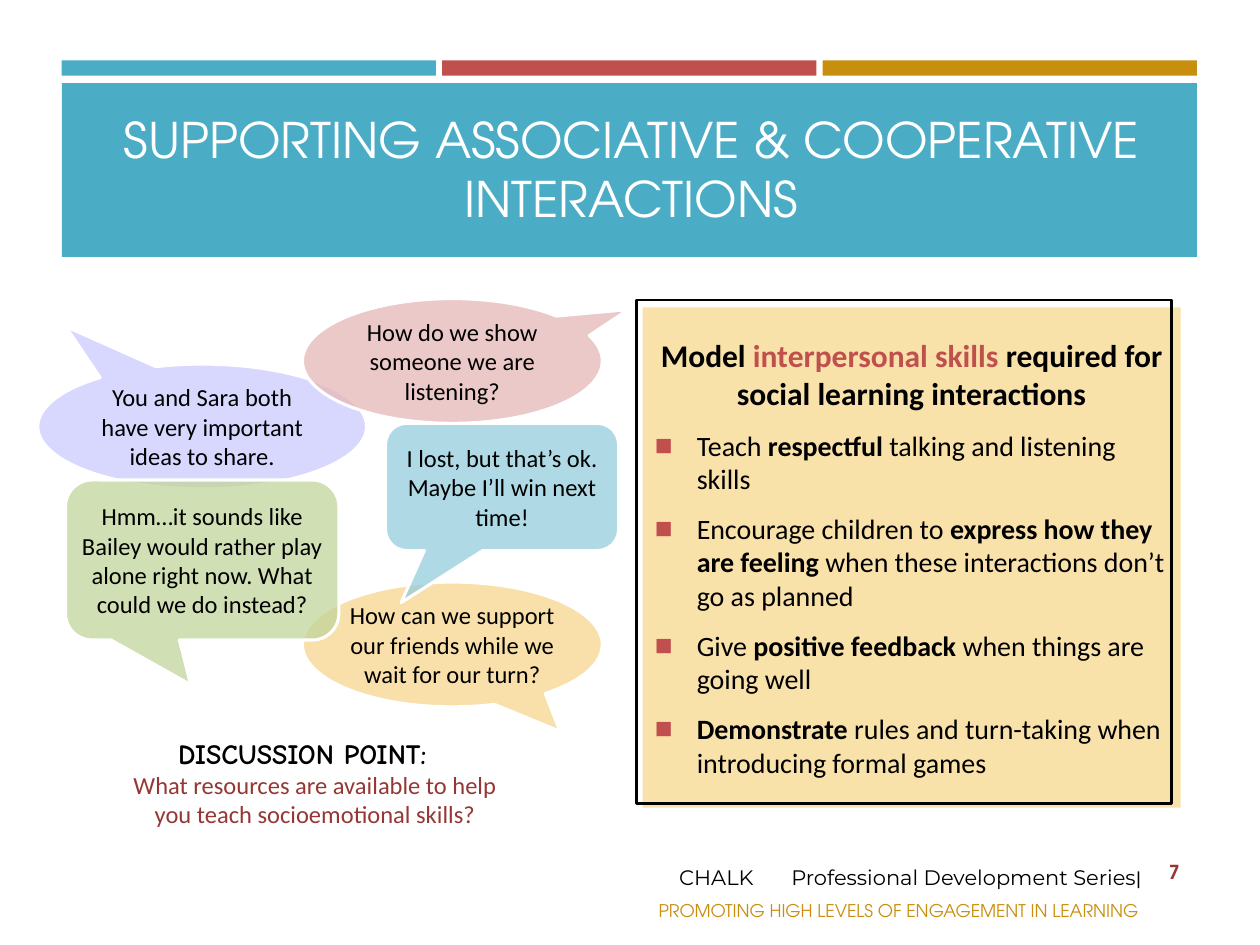
from pptx import Presentation
from pptx.dml.color import RGBColor
from pptx.enum.shapes import MSO_SHAPE
from pptx.enum.text import MSO_ANCHOR, MSO_AUTO_SIZE, PP_ALIGN
from pptx.oxml.ns import qn
from pptx.util import Inches, Pt
from lxml import etree

RECT = MSO_SHAPE.RECTANGLE
OVAL_CALLOUT = MSO_SHAPE.OVAL_CALLOUT
ROUND_CALLOUT = MSO_SHAPE.ROUNDED_RECTANGULAR_CALLOUT
LEFT, CENTER = PP_ALIGN.LEFT, PP_ALIGN.CENTER
TOP, MIDDLE = MSO_ANCHOR.TOP, MSO_ANCHOR.MIDDLE

TEAL, RED, GOLD = "4BACC6", "C0504D", "C88E0E"
DARK_RED, CREAM, WHITE, BLACK = "953734", "F9E1AA", "FFFFFF", "000000"
BODY_FONT, DISPLAY_FONT = "Calibri", "TeX Gyre Adventor"
BRAND_FONT, LABEL_FONT = "Montserrat", "Comic Neue"


def rgb(value):
    return RGBColor.from_string(value)


def add_child(parent, tag, **attributes):
    return etree.SubElement(parent, qn(tag), attributes)


class SlideBuilder:
    """Holds the current slide and the style shared by its elements."""

    def __init__(self, slide):
        self.slide = slide
        self.shapes = slide.shapes

    def place(self, shape, at):
        shape.left, shape.top, shape.width, shape.height = map(Inches, at)

    def frame(self, shape, anchor, insets=(0.1, 0.05, 0.1, 0.05)):
        frame = shape.text_frame
        frame.word_wrap = True
        frame.auto_size = MSO_AUTO_SIZE.NONE
        frame.vertical_anchor = anchor
        (frame.margin_left, frame.margin_top,
         frame.margin_right, frame.margin_bottom) = map(Inches, insets)
        return frame

    def style(self, para, size, font=BODY_FONT, color=BLACK, bold=False, align=CENTER):
        para.alignment = align
        para.font.size = Pt(size)
        para.font.name = font
        para.font.bold = bold
        para.font.color.rgb = rgb(color)

    def spans(self, para, text, bold=None, color=None):
        """Add runs, giving those between asterisks the bold or colour."""
        for index, part in enumerate(text.split("*")):
            if not part:
                continue
            span = para.add_run()
            span.text = part
            if index % 2:
                span.font.bold = bold
                if color:
                    span.font.color.rgb = rgb(color)

    def shape(self, kind, at, fill=None, line=None, line_width=1.0):
        shape = self.shapes.add_shape(kind, *map(Inches, at))
        shape.shadow.inherit = False
        if fill:
            shape.fill.solid()
            shape.fill.fore_color.rgb = rgb(fill)
        else:
            shape.fill.background()
        if line:
            shape.line.color.rgb = rgb(line)
            shape.line.width = Pt(line_width)
        else:
            shape.line.fill.background()
        return shape

    def backdrop(self, at, fill):
        """Add a filled bar behind the placeholders."""
        bar = self.shape(RECT, at, fill)
        self.shapes._spTree.insert(2, bar._element)

    def callout(self, kind, at, tail, fill, text):
        bubble = self.shape(kind, at, fill, WHITE, 1.75)
        bubble.adjustments[0], bubble.adjustments[1] = tail
        color = bubble._element.spPr.find(qn("a:solidFill"))[0]
        add_child(color, "a:alpha", val="75000")
        pad = 0.1 if kind == ROUND_CALLOUT else 0
        para = self.frame(bubble, MIDDLE, (0, pad, 0, pad)).paragraphs[0]
        para.text = text
        self.style(para, 14)

    def text(self, at, text, size, anchor=TOP, **style):
        box = self.shapes.add_textbox(*map(Inches, at))
        para = self.frame(box, anchor).paragraphs[0]
        para.text = text
        self.style(para, size, **style)

    def brand_line(self, at, name, series, start, tab):
        box = self.shapes.add_textbox(*map(Inches, at))
        para = self.frame(box, MIDDLE, (start, 0.05, 0.1, 0.05)).paragraphs[0]
        tabs = add_child(para._p.get_or_add_pPr(), "a:tabLst")
        add_child(tabs, "a:tab", pos=str(Inches(tab)), algn="l")
        self.style(para, 12, BRAND_FONT, align=LEFT)
        self.spans(para, f"{name}\t{series}")
        bar = para.add_run()
        bar.text = "|"
        bar.font.name = DISPLAY_FONT

    def title(self, at, text):
        title = self.shapes.title
        self.place(title, at)
        para = self.frame(title, MIDDLE).paragraphs[0]
        para.text = text
        self.style(para, 28, DISPLAY_FONT, WHITE)

    def panel(self, at, heading, points):
        body = self.slide.placeholders[1]
        self.place(body, at)
        body.fill.solid()
        body.fill.fore_color.rgb = rgb(CREAM)
        frame = self.frame(body, MIDDLE)
        para = frame.paragraphs[0]
        para.space_before = Pt(0)
        properties = para._p.get_or_add_pPr()
        properties.set("marL", "0")
        properties.set("indent", "0")
        add_child(properties, "a:buNone")
        self.style(para, 18, bold=True)
        self.spans(para, heading, bold=True, color=RED)
        for point in points:
            self.bullet(frame.add_paragraph(), point)

    def bullet(self, para, text):
        para.space_before = Pt(9.2)
        properties = para._p.get_or_add_pPr()
        properties.set("marL", str(Inches(0.33)))
        properties.set("indent", str(Inches(-0.33)))
        color = add_child(properties, "a:buClr")
        add_child(color, "a:srgbClr", val=RED)
        add_child(properties, "a:buChar", char="◼")
        self.style(para, 16, align=LEFT)
        self.spans(para, text, bold=True)


CALLOUTS = [
    (OVAL_CALLOUT, (0.3, 2.89, 2.61, 0.99), (-0.415, -0.802), "CCCCFF",
     "You and Sara both have very important ideas to share."),
    (OVAL_CALLOUT, (2.4, 4.62, 2.38, 0.99), (0.359, 0.696), "F8D68F",
     "How can we support our friends while we wait for our turn?"),
    (ROUND_CALLOUT, (3.06, 3.36, 1.85, 1.01), (-0.433, 0.909), "93CDDD",
     "I lost, but that’s ok. Maybe I’ll win next time!"),
    (OVAL_CALLOUT, (2.4, 2.37, 2.38, 0.99), (0.587, -0.412), "E5B8B7",
     "How do we show someone we are listening?"),
    (ROUND_CALLOUT, (0.52, 3.81, 2.17, 1.27), (-0.042, 0.779), "C2D59B",
     "Hmm…it sounds like Bailey would rather play alone right now. "
     "What could we do instead?"),
]
POINTS = [
    "Teach *respectful* talking and listening skills",
    "Encourage children to *express how they are feeling *"
    "when these interactions don’t go as planned",
    "Give *positive feedback* when things are going well",
    "*Demonstrate* rules and turn-taking when introducing formal games",
]


def main():
    deck = Presentation()
    deck.slide_width, deck.slide_height = Inches(10), Inches(7.5)
    page = SlideBuilder(deck.slides.add_slide(deck.slide_layouts[1]))

    for column, color in enumerate((TEAL, RED, GOLD)):
        page.backdrop((0.49 + column * 3.02, 0.48, 2.97, 0.12), color)
    page.backdrop((0.49, 0.66, 9.01, 1.38), TEAL)
    page.title((0.64, 0.75, 8.74, 1.18),
               "SUPPORTING ASSOCIATIVE & COOPERATIVE INTERACTIONS")

    page.panel((5.1, 2.44, 4.27, 3.97),
               "Model *interpersonal skills *required for social learning interactions",
               POINTS)
    page.shape(RECT, (5.05, 2.38, 4.25, 4), line=BLACK, line_width=1.5)

    for callout in CALLOUTS:
        page.callout(*callout)

    page.text((0.84, 6.06, 3.32, 0.57),
              "What resources are available to help you teach socioemotional skills?",
              14, color=DARK_RED)
    page.text((1.11, 5.8, 2.58, 0.37), "DISCUSSION POINT:", 16,
              font=LABEL_FONT, bold=True)

    page.text((9.06, 6.72, 0.52, 0.4), "7", 11, MIDDLE,
              font=DISPLAY_FONT, color=DARK_RED, bold=True)
    page.brand_line((4.86, 6.78, 4.72, 0.37), "CHALK",
                    "Professional Development Series", start=0.53, tab=0.89)
    page.text((5.09, 7.09, 4.08, 0.27),
              "PROMOTING HIGH LEVELS OF ENGAGEMENT IN LEARNING", 10,
              font=DISPLAY_FONT, color=GOLD)
    deck.save("out.pptx")


if __name__ == "__main__":
    main()
